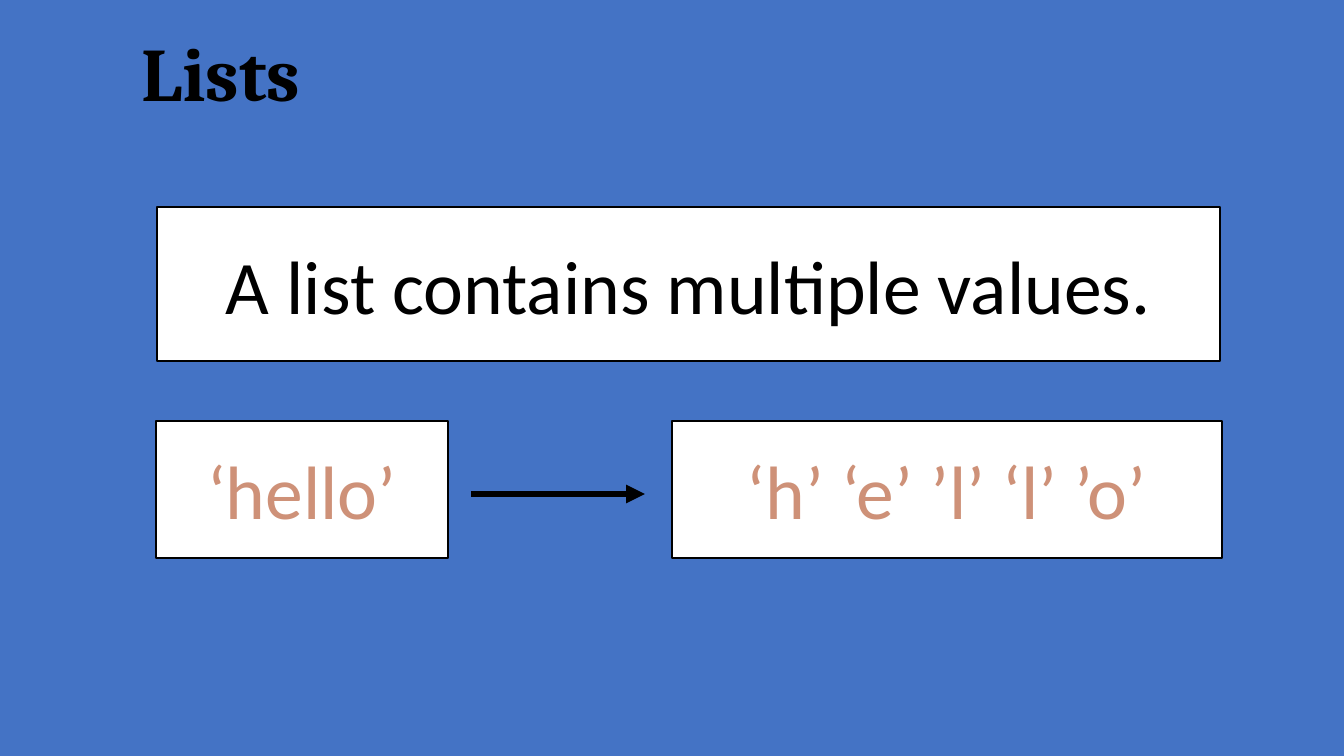
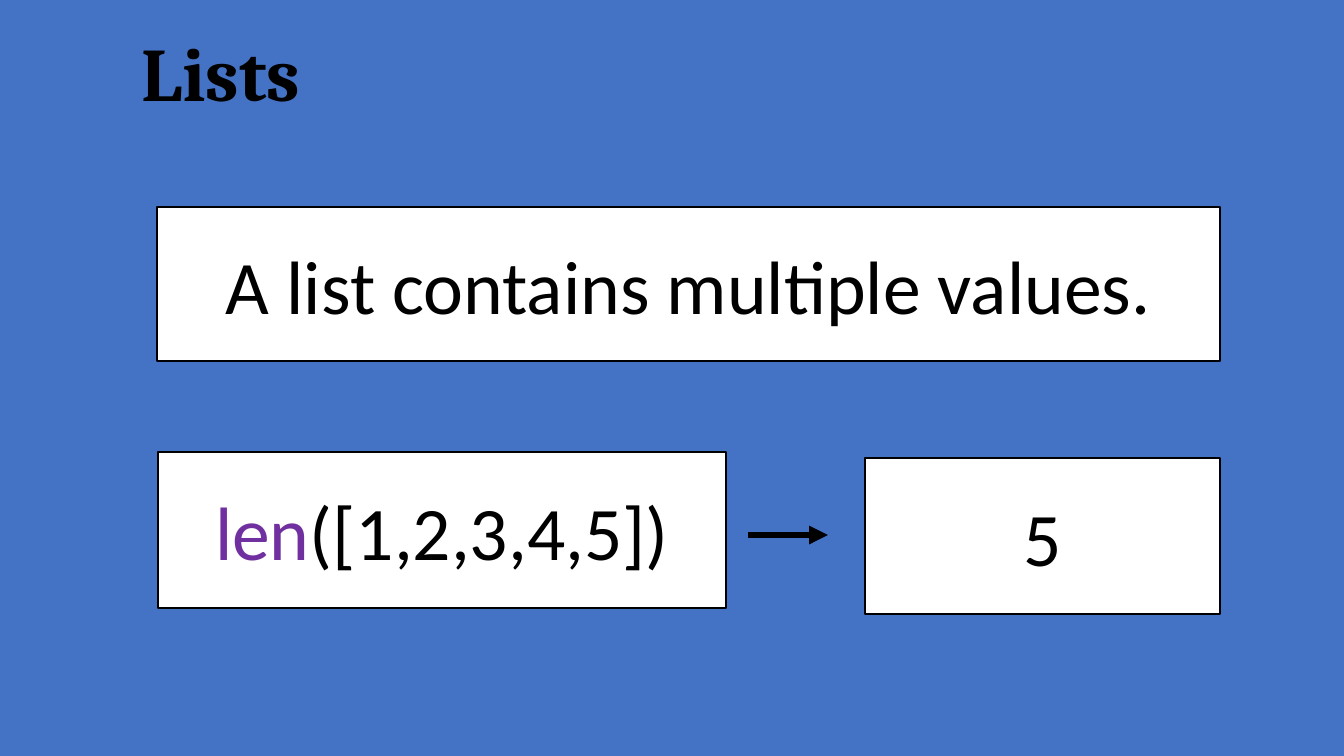
"""Build two slides that introduce lists in Python."""
from dataclasses import dataclass

from lxml import etree
from pptx import Presentation
from pptx.dml.color import RGBColor
from pptx.enum.shapes import MSO_CONNECTOR, MSO_SHAPE
from pptx.enum.text import MSO_ANCHOR, PP_ALIGN
from pptx.oxml.ns import qn
from pptx.slide import Slide
from pptx.text.text import TextFrame
from pptx.util import Emu, Pt

RECTANGLE = MSO_SHAPE.RECTANGLE
STRAIGHT = MSO_CONNECTOR.STRAIGHT
MIDDLE = MSO_ANCHOR.MIDDLE
CENTER = PP_ALIGN.CENTER

SLIDE_WIDTH, SLIDE_HEIGHT = 1344, 756
EMU_PER_PX = 12192000 / SLIDE_WIDTH
TEXT_SIZE = Pt(54)
TITLE_FONT, BODY_FONT = "Cambria", "Calibri"
COLORS = {
    "background": "4473C5",
    "panel": "FFFFFF",
    "ink": "000000",
    "string": "CE9178",
    "function": "7030A0",
}


@dataclass(frozen=True)
class Span:
    text: str
    color: str = "ink"


@dataclass(frozen=True)
class Panel:
    left: int
    top: int
    width: int
    height: int
    spans: tuple[Span, ...]


@dataclass(frozen=True)
class Arrow:
    start: int
    end: int
    level: int


@dataclass(frozen=True)
class Example:
    source: Panel
    arrow: Arrow
    result: Panel


TITLE = Panel(0, 10, 442, 134, (Span("Lists"),))
DEFINITION = Panel(157, 207, 1063, 154, (Span("A list contains multiple values."),))
EXAMPLES = (
    Example(
        Panel(156, 421, 292, 137, (Span("‘hello’", "string"),)),
        Arrow(471, 645, 494),
        Panel(672, 421, 550, 137, (Span("‘h’ ‘e’ ’l’ ‘l’ ’o’", "string"),)),
    ),
    Example(
        Panel(158, 452, 568, 156, (Span("len", "function"), Span("([1,2,3,4,5])"))),
        Arrow(748, 828, 535),
        Panel(865, 458, 355, 156, (Span("5"),)),
    ),
)


def px(length: int) -> Emu:
    return Emu(round(length * EMU_PER_PX))


def color(name: str) -> RGBColor:
    return RGBColor.from_string(COLORS[name])


def bounds(panel: Panel) -> tuple[Emu, Emu, Emu, Emu]:
    return px(panel.left), px(panel.top), px(panel.width), px(panel.height)


def write(frame: TextFrame, spans: tuple[Span, ...], font: str, bold: bool = False) -> None:
    frame.word_wrap = True
    frame.vertical_anchor = MIDDLE
    para = frame.paragraphs[0]
    para.alignment = CENTER
    para.font.name = font
    para.font.size = TEXT_SIZE
    para.font.bold = bold
    for span in spans:
        run = para.add_run()
        run.text = span.text
        run.font.color.rgb = color(span.color)


def draw_title(page: Slide) -> None:
    box = page.shapes.add_textbox(*bounds(TITLE))
    write(box.text_frame, TITLE.spans, TITLE_FONT, bold=True)
    box.text_frame.paragraphs[0].line_spacing = 0.9


def draw_panel(page: Slide, panel: Panel) -> None:
    box = page.shapes.add_shape(RECTANGLE, *bounds(panel))
    box.shadow.inherit = False
    box.fill.solid()
    box.fill.fore_color.rgb = color("panel")
    box.line.color.rgb = color("ink")
    box.line.width = Pt(1)
    write(box.text_frame, panel.spans, BODY_FONT)


def draw_arrow(page: Slide, arrow: Arrow) -> None:
    level = px(arrow.level)
    connector = page.shapes.add_connector(STRAIGHT, px(arrow.start), level, px(arrow.end), level)
    connector.line.color.rgb = color("ink")
    connector.line.width = Pt(4.5)
    properties = connector.element.spPr
    etree.SubElement(properties.find(qn("a:ln")), qn("a:tailEnd"), type="triangle")
    etree.SubElement(properties, qn("a:effectLst"))


def main() -> None:
    deck = Presentation()
    deck.slide_width, deck.slide_height = px(SLIDE_WIDTH), px(SLIDE_HEIGHT)
    background = deck.slide_master.background.fill
    background.solid()
    background.fore_color.rgb = color("background")
    for example in EXAMPLES:
        page = deck.slides.add_slide(deck.slide_layouts[6])
        draw_title(page)
        draw_panel(page, DEFINITION)
        draw_panel(page, example.source)
        draw_arrow(page, example.arrow)
        draw_panel(page, example.result)
    deck.save("out.pptx")


if __name__ == "__main__":
    main()
